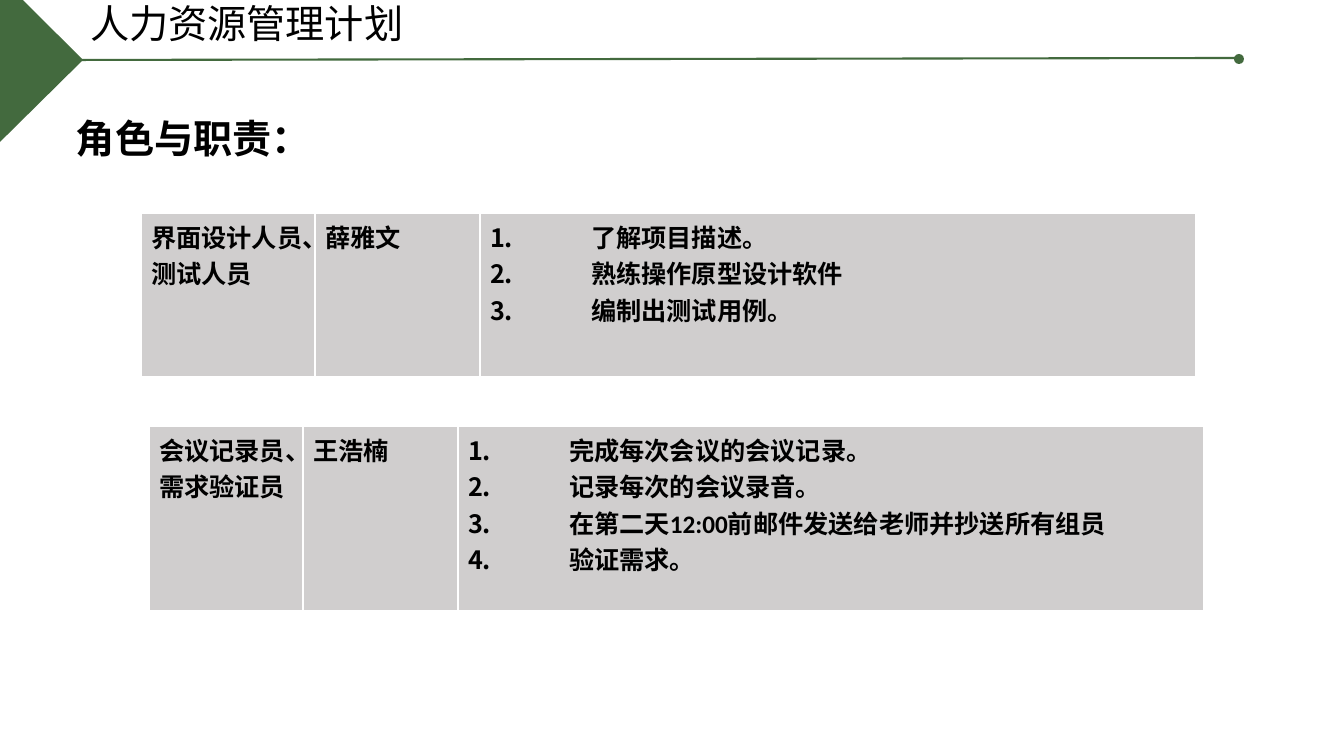
from dataclasses import dataclass
from typing import Any

from lxml import etree
from pptx import Presentation, util as u
from pptx.dml.color import RGBColor
from pptx.enum import shapes, text
from pptx.oxml.ns import qn

PIXEL = u.Inches(1) / 100.8
GREEN, GREY, WHITE, BLACK = "436A3E", "D0CECE", "FFFFFF", "000000"
LATIN, CHINESE = "Calibri", "Noto Sans CJK SC"
HANGING = 101


@dataclass
class RoleTable:
    left: int
    top: int
    height: int
    columns: tuple[int, ...]
    role: str
    person: str
    duties: tuple[str, ...]


ROLE_TABLES = [
    RoleTable(141, 213, 165, (174, 165, 716), "界面设计人员、测试人员", "薛雅文",
              ("了解项目描述。", "熟练操作原型设计软件", "编制出测试用例。")),
    RoleTable(149, 426, 186, (154, 155, 746), "会议记录员、需求验证员", "王浩楠",
              ("完成每次会议的会议记录。", "记录每次的会议录音。",
               "在第二天12:00前邮件发送给老师并抄送所有组员", "验证需求。")),
]


def px(pixels: int) -> u.Emu:
    return u.Emu(round(pixels * PIXEL))


def color(value: str) -> RGBColor:
    return RGBColor.from_string(value)


def apply(target: Any, values: dict[str, Any]) -> None:
    for name, value in values.items():
        setattr(target, name, value)


def add_node(parent: Any, tag: str, **attributes: str) -> Any:
    return etree.SubElement(parent, qn(tag), attributes)


def paint(shape: Any) -> None:
    shape.shadow.inherit = False
    shape.fill.solid()
    shape.fill.fore_color.rgb = color(GREEN)
    shape.line.fill.background()


def write(frame: Any, lines: tuple[str, ...], size: int, bold: bool,
          font: str = LATIN, spacing: float = 1.0) -> None:
    frame.text = "\n".join(lines)
    for paragraph in frame.paragraphs:
        apply(paragraph, {"alignment": text.PP_ALIGN.LEFT, "line_spacing": spacing})
        run = paragraph.runs[0]
        apply(run.font, {"size": u.Pt(size), "bold": bold, "name": font})
        run.font.color.rgb = color(BLACK)
        add_node(run.font._element, "a:ea", typeface=CHINESE)


def write_heading(shape: Any, box: tuple[int, ...], line: str, bold: bool, font: str) -> None:
    apply(shape, dict(zip(("left", "top", "width", "height"), map(px, box))))
    apply(shape.text_frame, {"word_wrap": True, "auto_size": text.MSO_AUTO_SIZE.NONE,
                             "vertical_anchor": text.MSO_ANCHOR.TOP})
    write(shape.text_frame, (line,), 28, bold, font, 0.9)


def number_lines(frame: Any) -> None:
    for paragraph in frame.paragraphs:
        properties = paragraph._p.get_or_add_pPr()
        properties.set("marL", str(px(HANGING)))
        properties.set("indent", str(-px(HANGING)))
        add_node(properties, "a:buFont", typeface=LATIN)
        add_node(properties, "a:buAutoNum", type="arabicPeriod")


def add_borders(cell: Any) -> None:
    properties = cell._tc.get_or_add_tcPr()
    for side, points in {"L": 1, "R": 1, "T": 1, "B": 3}.items():
        border = add_node(properties, f"a:ln{side}", w=str(u.Pt(points)))
        add_node(add_node(border, "a:solidFill"), "a:srgbClr", val=WHITE)


def add_role_table(slide: Any, item: RoleTable) -> None:
    table = slide.shapes.add_table(1, len(item.columns), px(item.left), px(item.top),
                                   px(sum(item.columns)), px(item.height)).table
    apply(table, {"first_row": False, "horz_banding": False})
    contents = ((item.role,), (item.person,), item.duties)
    for index, (width, lines) in enumerate(zip(item.columns, contents)):
        table.columns[index].width = px(width)
        cell = table.cell(0, index)
        write(cell.text_frame, lines, 18, True)
        add_borders(cell)
        cell.fill.solid()
        cell.fill.fore_color.rgb = color(GREY)
    number_lines(table.cell(0, 2).text_frame)


presentation = Presentation()
apply(presentation, {"slide_width": px(1344), "slide_height": px(756)})
slide = presentation.slides.add_slide(presentation.slide_layouts[5])

# Corner arrow
outline = slide.shapes.build_freeform(0, 0, scale=PIXEL)
outline.add_line_segments([(23, 0), (82, 59), (82, 61), (0, 142)], close=True)
paint(outline.convert_to_shape())

# Title rule with its end dot
rule = slide.shapes.add_connector(shapes.MSO_CONNECTOR.STRAIGHT,
                                  px(77), px(60), px(1237), px(58))
rule.line.color.rgb = color(GREEN)
rule.line.width = u.Pt(1.5)
add_node(rule._element.spPr, "a:effectLst")
paint(slide.shapes.add_shape(shapes.MSO_SHAPE.OVAL, px(1234), px(54), px(10), px(10)))

# Title and heading
write_heading(slide.shapes.title, (80, 0, 441, 57), "人力资源管理计划", False, CHINESE)
heading = slide.shapes.add_textbox(0, 0, 0, 0)
write_heading(heading, (66, 115, 1173, 60), "角色与职责：", True, LATIN)

# Role tables
for role_table in ROLE_TABLES:
    add_role_table(slide, role_table)

presentation.save("out.pptx")
